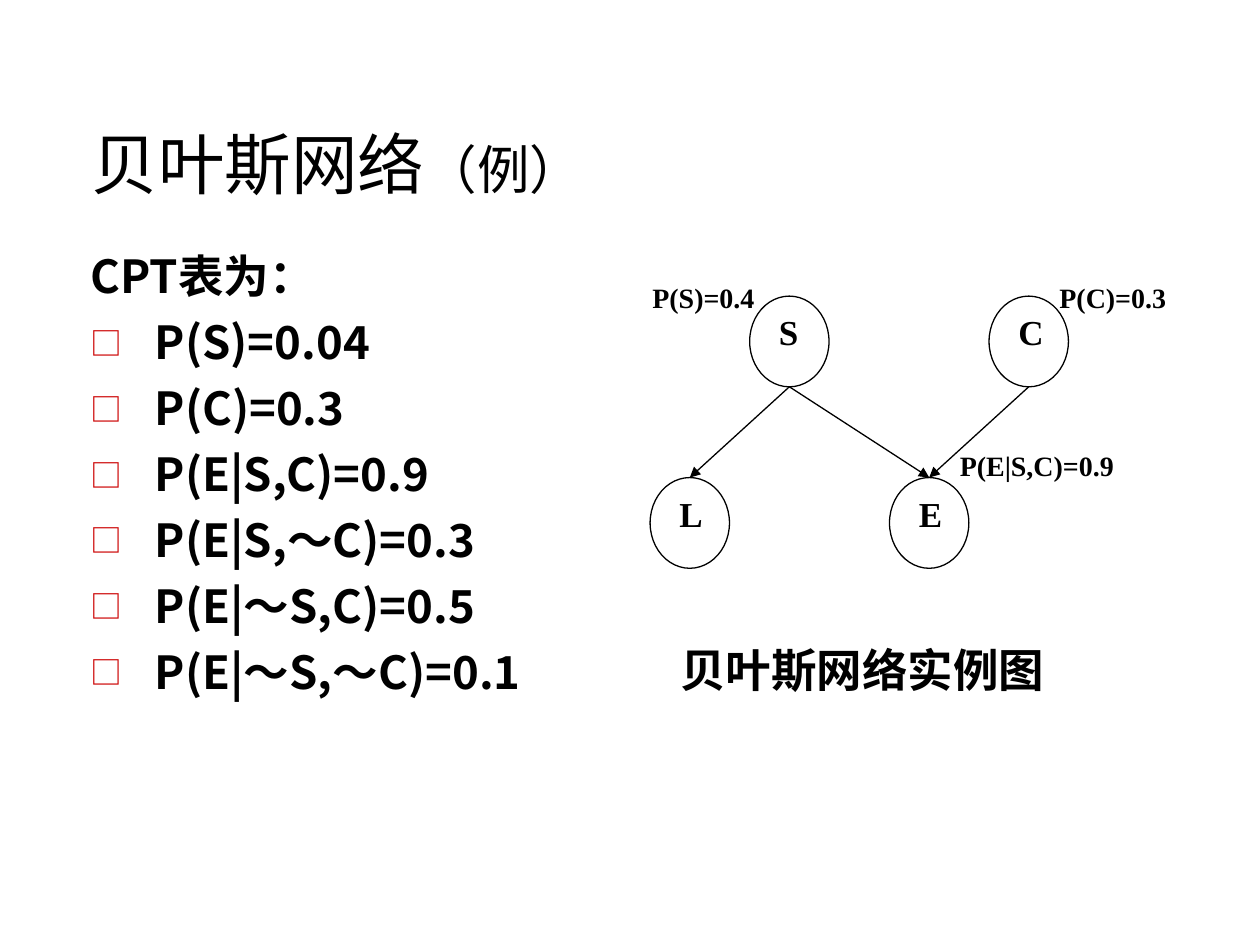
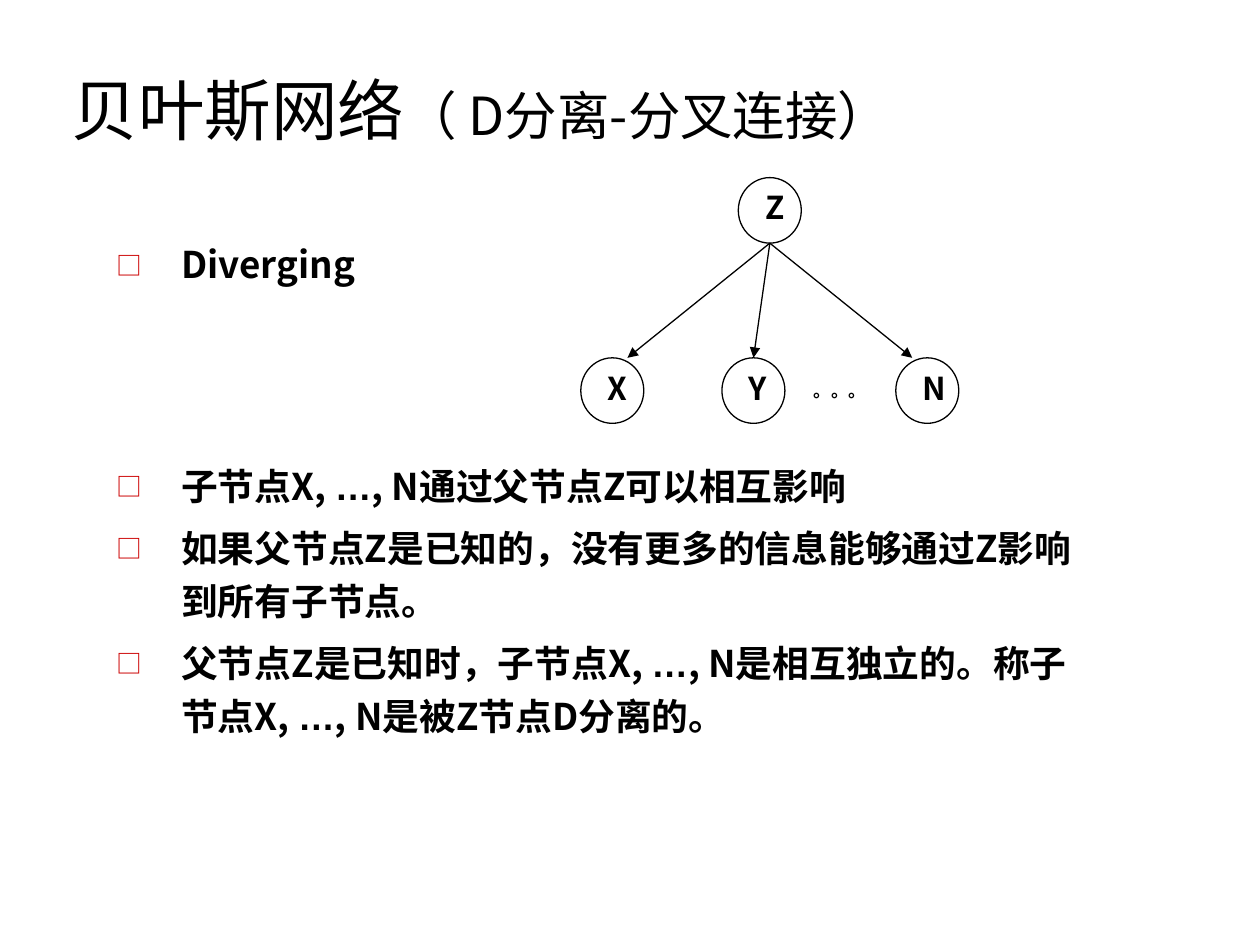
from lxml.etree import SubElement
from pptx import Presentation
from pptx.dml.color import RGBColor
from pptx.enum.lang import MSO_LANGUAGE_ID as LANG
from pptx.enum.shapes import MSO_CONNECTOR, MSO_SHAPE
from pptx.enum.text import MSO_ANCHOR, PP_ALIGN
from pptx.oxml.ns import qn
from pptx.util import Inches, Pt

BLACK, WHITE, RED = "000000", "FFFFFF", "CC0000"
DEJAVU, JP, SC = "DejaVu Sans", "Noto Sans CJK JP", "Noto Sans CJK SC"
TIMES, ARIAL = "Times New Roman", "Arial"
TITLE_SIZES = (38, 30)
HANG = 0.51

# Each paragraph is a list of (text, font) runs.
CPT_HEADING = [("CPT", JP), ("表为：", DEJAVU)]
CPT_ROWS = [[(t, JP)] for t in (
    "P(S)=0.04", "P(C)=0.3", "P(E|S,C)=0.9",
    "P(E|S,～C)=0.3", "P(E|～S,C)=0.5", "P(E|～S,～C)=0.1")]
DIVERGING = [("Diverging", SC)]
CHILDREN_LINKED = [("子节点X, ", SC), ("…", ARIAL), (", N通过父节点Z可以相互影响", SC)]
PARENT_KNOWN = [
    [("如果父节点Z是已知的，没有更多的信息能够通过Z影响到所有子节点。", SC)],
    [("父节点Z是已知时，子节点X, ", SC), ("…", ARIAL),
     (", N是相互独立的。称子节点X, ", SC), ("…", ARIAL),
     (", N是被Z节点D分离的。", SC)],
]

# Networks: node positions (left, top), arrows (from, to, shift of the tip),
# and labels (text, left, top, width).
CPT_NET = dict(
    size=(0.63, 0.72), font=TIMES, pt=20, label_pt=16,
    nodes={"S": (5.95, 2.35), "C": (7.85, 2.35), "E": (7.06, 3.79), "L": (5.16, 3.79)},
    arrows=[("S", "L", 0), ("S", "E", 0), ("C", "E", 0)],
    labels=[("P(S)=0.4", 5.08, 2.18, 1.34), ("P(C)=0.3", 8.31, 2.18, 1.11),
            ("P(E|S,C)=0.9", 7.52, 3.51, 1.5)])
FORK_NET = dict(
    size=(0.5, 0.52), font=SC, pt=18, label_pt=10,
    nodes={"N": (7.11, 2.84), "Y": (5.73, 2.84), "X": (4.61, 2.84), "Z": (5.86, 1.41)},
    arrows=[("Z", "X", 0.12), ("Z", "Y", 0), ("Z", "N", -0.12)],
    labels=[("。。。", 6.36, 2.97, 0.7)])


def color(hex_text):
    return RGBColor.from_string(hex_text)


def add_run(p, text, font, size, bold=True):
    r = p.add_run()
    r.text = text
    values = dict(name=font, size=Pt(size), bold=bold, language_id=LANG.SIMPLIFIED_CHINESE)
    for name, value in values.items():
        setattr(r.font, name, value)
    r.font.color.rgb = color(BLACK)
    SubElement(r._r.get_or_add_rPr(), qn("a:ea"), typeface=font)


def add_bullet(p):
    pPr = p._p.get_or_add_pPr()
    pPr.set("marL", str(Inches(HANG)))
    pPr.set("indent", str(-Inches(HANG)))
    SubElement(SubElement(pPr, qn("a:buClr")), qn("a:srgbClr"), val=RED)
    SubElement(pPr, qn("a:buSzPct"), val="70000")
    SubElement(pPr, qn("a:buFont"), typeface=SC)
    SubElement(pPr, qn("a:buChar"), char="□")


def add_box(s, *box):
    tf = s.shapes.add_textbox(*map(Inches, box)).text_frame
    tf.word_wrap = True
    return tf


def add_title(s, box, font, parts):
    tf = add_box(s, *box)
    tf.vertical_anchor = MSO_ANCHOR.BOTTOM
    for text, size in zip(parts, TITLE_SIZES):
        add_run(tf.paragraphs[0], text, font, size, bold=False)


def add_body(s, box, size, gap, paragraphs):
    """Paragraphs are (runs, bulleted, line spacing)."""
    tf = add_box(s, *box)
    for i, (runs, bulleted, spacing) in enumerate(paragraphs):
        p = tf.add_paragraph() if i else tf.paragraphs[0]
        if bulleted:
            add_bullet(p)
        p.line_spacing = spacing
        if i:
            p.space_before = Pt(gap)
        for text, font in runs:
            add_run(p, text, font, size)


def add_node(s, name, box, font, size):
    sp = s.shapes.add_shape(MSO_SHAPE.OVAL, *map(Inches, box))
    sp.shadow.inherit = False
    sp.fill.solid()
    sp.fill.fore_color.rgb = color(WHITE)
    sp.line.color.rgb = color(BLACK)
    sp.line.width = Pt(0.75)
    tf = sp.text_frame
    values = dict(word_wrap=True, vertical_anchor=MSO_ANCHOR.TOP, margin_left=Inches(0.14),
                  margin_top=Inches(0.01), margin_right=0, margin_bottom=0)
    for key, value in values.items():
        setattr(tf, key, value)
    p = tf.paragraphs[0]
    p.alignment = PP_ALIGN.LEFT
    add_run(p, name, font, size)


def add_arrow(s, *ends):
    c = s.shapes.add_connector(MSO_CONNECTOR.STRAIGHT, *map(Inches, ends))
    c.line.color.rgb = color(BLACK)
    c.line.width = Pt(0.75)
    SubElement(c.line._get_or_add_ln(), qn("a:tailEnd"), type="triangle")
    SubElement(c._element.spPr, qn("a:effectLst"))


def add_network(s, net):
    w, h = net["size"]
    nodes = net["nodes"]
    for name, (x, y) in nodes.items():
        add_node(s, name, (x, y, w, h), net["font"], net["pt"])
    for start, end, shift in net["arrows"]:
        (x1, y1), (x2, y2) = nodes[start], nodes[end]
        add_arrow(s, x1 + w / 2, y1 + h, x2 + w / 2 + shift, y2)
    for text, x, y, width in net["labels"]:
        tf = add_box(s, x, y, width, 0.54)
        add_run(tf.paragraphs[0], text, net["font"], net["label_pt"])


def build_cpt_slide(s):
    add_title(s, (0.63, 0.33, 8.75, 1.33), DEJAVU, ("贝叶斯网络", "（例）"))
    rows = [(CPT_HEADING, False, 1.0)] + [(row, True, 1.0) for row in CPT_ROWS]
    add_body(s, (0.62, 1.92, 4.4, 4.67), 26, 6.5, rows)
    add_body(s, (5.3, 5.05, 3.5, 0.6), 26, 0, [([("贝叶斯网络实例图", DEJAVU)], False, 1.0)])
    add_network(s, CPT_NET)


def build_fork_slide(s):
    add_title(s, (0.47, 0.39, 8.5, 0.84), SC, ("贝叶斯网络", "（ D分离-分叉连接）"))
    add_body(s, (0.83, 1.94, 3.5, 0.5), 21, 0, [(DIVERGING, True, 0.8)])
    facts = [(CHILDREN_LINKED, True, 0.8)] + [(runs, True, 1.2) for runs in PARENT_KNOWN]
    add_body(s, (0.83, 3.7, 8.02, 2.89), 21, 5.2, facts)
    add_network(s, FORK_NET)


def main():
    prs = Presentation()
    prs.slide_width, prs.slide_height = Inches(10), Inches(7.5)
    for build in (build_cpt_slide, build_fork_slide):
        build(prs.slides.add_slide(prs.slide_layouts[6]))
    prs.save("out.pptx")


if __name__ == "__main__":
    main()
